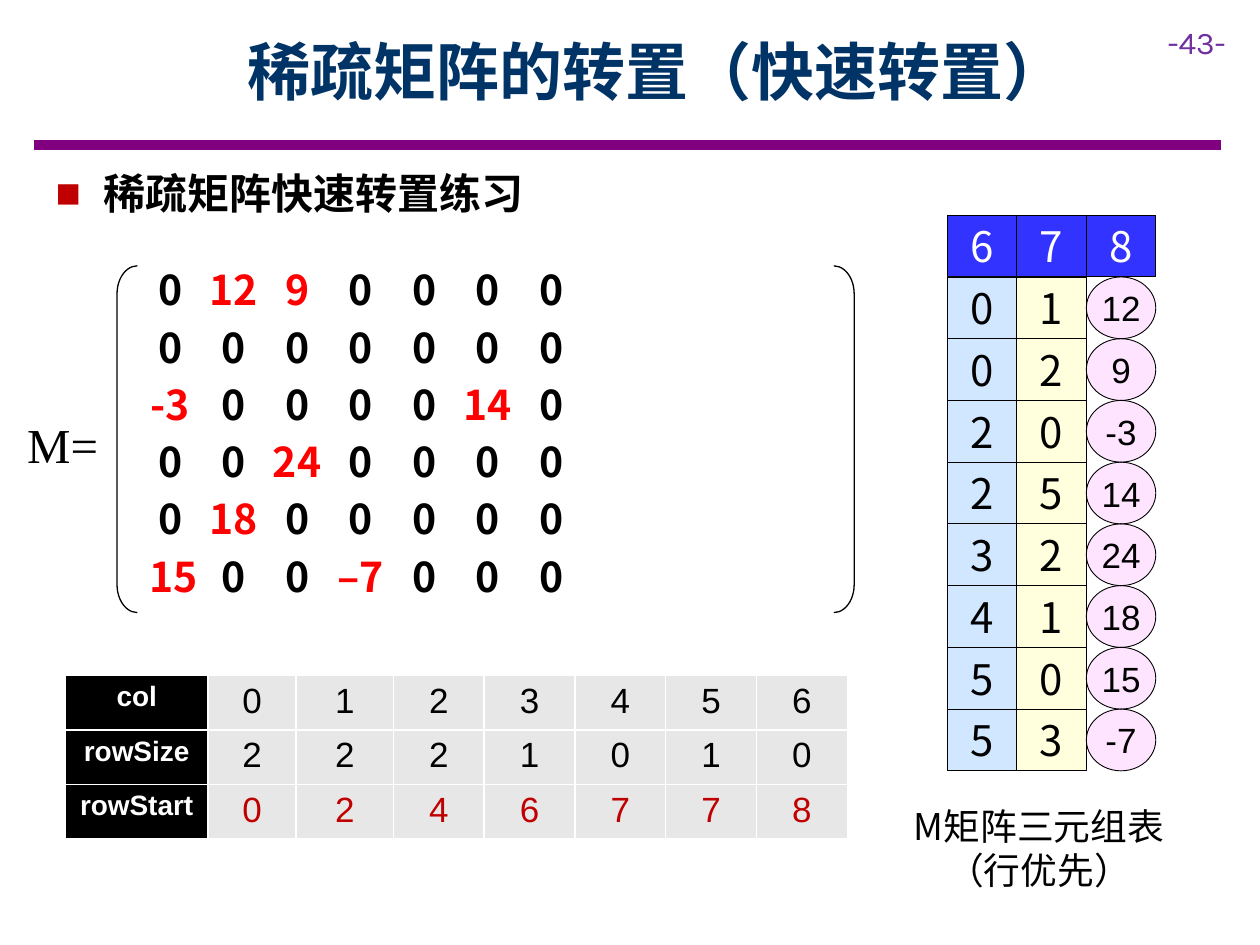
from itertools import accumulate

from lxml.etree import SubElement
from pptx import Presentation
from pptx.dml.color import RGBColor
from pptx.enum.shapes import MSO_CONNECTOR, MSO_SHAPE as SHAPE
from pptx.enum.text import MSO_ANCHOR as ANCHOR, PP_ALIGN as ALIGN
from pptx.oxml.ns import qn
from pptx.util import Cm, Pt

BLACK = RGBColor(0x00, 0x00, 0x00)
WHITE = RGBColor(0xFF, 0xFF, 0xFF)
NAVY = RGBColor(0x00, 0x33, 0x66)
PURPLE = RGBColor(0x80, 0x00, 0x80)
VIOLET = RGBColor(0x70, 0x30, 0xA0)
RED = RGBColor(0xFF, 0x00, 0x00)
DARK_RED = RGBColor(0xC0, 0x00, 0x00)
GREY = RGBColor(0xE7, 0xE7, 0xE7)
BLUE = RGBColor(0x33, 0x33, 0xFF)
SKY = RGBColor(0x99, 0xCC, 0xFF)
YELLOW = RGBColor(0xFF, 0xFF, 0x00)
PINK = RGBColor(0xFF, 0x99, 0xFF)

CJK, SANS, SERIF = "Noto Sans CJK SC", "Arial", "Times New Roman"

MATRIX = [row.split() for row in (
    "0 12 9 0 0 0 0",
    "0 0 0 0 0 0 0",
    "-3 0 0 0 0 14 0",
    "0 0 24 0 0 0 0",
    "0 18 0 0 0 0 0",
    "15 0 0 –7 0 0 0",
)]


def add_run(p, text, font, size, color, bold=False):
    """Append a formatted run to a paragraph."""
    r = p.add_run()
    r.text = text
    for name, value in {"name": font, "size": Pt(size), "bold": bold}.items():
        setattr(r.font, name, value)
    r.font.color.rgb = color
    SubElement(r.font._element, qn("a:ea"), typeface=font)


def set_frame(tf, anchor=ANCHOR.TOP, inset=(0, 0)):
    """Set wrapping, anchor and the side and top insets of a text frame."""
    side, top = map(Cm, inset)
    values = {"word_wrap": True, "vertical_anchor": anchor,
              "margin_left": side, "margin_right": side,
              "margin_top": top, "margin_bottom": top}
    for name, value in values.items():
        setattr(tf, name, value)


def add_text(slide, box, text, font, size, color, inset=(0.25, 0.13), **para):
    """Add a text box with one paragraph per line of text."""
    tf = slide.shapes.add_textbox(*map(Cm, box)).text_frame
    set_frame(tf, inset=inset)
    for i, line in enumerate(text.split("\n")):
        p = tf.add_paragraph() if i else tf.paragraphs[0]
        for name, value in para.items():
            setattr(p, name, value)
        add_run(p, line, font, size, color)


def add_header(slide, x, y, w):
    """Place the title, the rule below it and the page number."""
    title = slide.shapes.title
    place = {"left": x + 2.21, "top": y + 0.56, "width": 20.68, "height": 1.73}
    for name, value in place.items():
        setattr(title, name, Cm(value))
    set_frame(title.text_frame, ANCHOR.MIDDLE, (0.23, 0.1))
    p = title.text_frame.paragraphs[0]
    p.alignment = ALIGN.CENTER
    add_run(p, "稀疏矩阵的转置（快速转置）", CJK, 36, NAVY, True)

    rule = slide.shapes.add_connector(
        MSO_CONNECTOR.STRAIGHT, Cm(x), Cm(y + 2.92), Cm(x + w), Cm(y + 2.92))
    rule.line.color.rgb, rule.line.width = PURPLE, Pt(6)
    SubElement(rule._element.spPr, qn("a:effectLst"))
    add_text(slide, (x + 22.6, y + 0.33, 2.11, 1.02), "-43-", "Karla", 18, VIOLET)


def add_bullet(slide, x, y, w, h):
    """Place the bulleted heading."""
    tf = slide.shapes.add_textbox(*map(Cm, (x, y, w, h))).text_frame
    set_frame(tf, inset=(0.23, 0.1))
    p = tf.paragraphs[0]
    p.line_spacing = 1.1
    pPr = p._p.get_or_add_pPr()
    pPr.set("marL", str(Cm(0.97)))
    pPr.set("indent", str(-Cm(0.97)))
    color = SubElement(pPr, qn("a:buClr"))
    SubElement(color, qn("a:srgbClr"), val=str(DARK_RED))
    SubElement(pPr, qn("a:buFont"), typeface=SANS)
    SubElement(pPr, qn("a:buChar"), char="■")
    add_run(p, "稀疏矩阵快速转置练习", CJK, 24, BLACK, True)


def add_matrix(slide, x, y, w, h):
    """Place the bracketed matrix, its columns centred on tab stops."""
    bracket_w = 0.41
    for kind, left in ((SHAPE.LEFT_BRACKET, x), (SHAPE.RIGHT_BRACKET, x + w - bracket_w)):
        s = slide.shapes.add_shape(kind, *map(Cm, (left, y, bracket_w, h)))
        s.adjustments[0] = 1.375
        s.shadow.inherit = False
        s.fill.background()
        s.line.color.rgb, s.line.width = BLACK, Pt(0.75)
    add_text(slide, (x - 2.06, y + 2.87, 2.06, 1.45), "M=", SERIF, 27.9, BLACK)

    tf = slide.shapes.add_textbox(*map(Cm, (x + 0.66, y - 0.18, 14, h))).text_frame
    set_frame(tf)
    for i, row in enumerate(MATRIX):
        p = tf.add_paragraph() if i else tf.paragraphs[0]
        p.line_spacing = Pt(32.7)
        tabs = SubElement(p._p.get_or_add_pPr(), qn("a:tabLst"))
        for j, value in enumerate(row):
            SubElement(tabs, qn("a:tab"), pos=str(Cm(0.41 + 1.28 * j)), algn="ctr")
            add_run(p, "\t" + value, CJK, 23.4, BLACK if value == "0" else RED, True)


def add_counts(slide, x, y):
    """Place the table of sizes and starts of the transposed rows."""
    sizes = [sum(v != "0" for v in col) for col in zip(*MATRIX)]
    starts = [0, *accumulate(sizes[:-1])]
    rows = (("col", range(len(sizes)), BLACK),
            ("rowSize", sizes, BLACK),
            ("rowStart", starts, DARK_RED))
    widths = [2.87, 1.78, 1.96] + [1.83] * 5
    row_h = 1.1
    frame = slide.shapes.add_table(
        len(rows), len(widths), *map(Cm, (x, y, sum(widths), row_h * len(rows))))
    table = frame.table
    table.first_row = table.horz_banding = False
    for column, width in zip(table.columns, widths):
        column.width = Cm(width)
    for i, (label, values, color) in enumerate(rows):
        table.rows[i].height = Cm(row_h)
        for j, value in enumerate((label, *values)):
            cell = table.cell(i, j)
            cell.fill.solid()
            cell.fill.fore_color.rgb = GREY if j else BLACK
            p = cell.text_frame.paragraphs[0]
            p.alignment = ALIGN.CENTER
            style = (20, color, False) if j else (16, WHITE, True)
            add_run(p, str(value), SANS, *style)


def add_cell(slide, kind, box, text, fill, alpha, font, size, color):
    """Add one outlined cell of the triple list."""
    s = slide.shapes.add_shape(kind, *map(Cm, box))
    s.shadow.inherit = False
    s.fill.solid()
    s.fill.fore_color.rgb = fill
    if alpha < 100:
        rgb = s._element.spPr.find(".//" + qn("a:srgbClr"))
        SubElement(rgb, qn("a:alpha"), val=str(alpha * 1000))
    s.line.color.rgb, s.line.width = BLACK, Pt(0.5)
    set_frame(s.text_frame, ANCHOR.MIDDLE)
    p = s.text_frame.paragraphs[0]
    p.alignment = ALIGN.CENTER
    add_run(p, text, font, size, color)


def add_triples(slide, x, y, w, h):
    """Place the triple list of the matrix with its caption."""
    triples = [(i, j, v.replace("–", "-")) for i, row in enumerate(MATRIX)
               for j, v in enumerate(row) if v != "0"]
    head = (len(MATRIX), len(MATRIX[0]), len(triples))
    head_style = (SHAPE.RECTANGLE, BLUE, 100, CJK, 24, WHITE)
    styles = ((SHAPE.RECTANGLE, SKY, 46, CJK, 24, BLACK),
              (SHAPE.RECTANGLE, YELLOW, 13, CJK, 24, BLACK),
              (SHAPE.OVAL, PINK, 26, SANS, 20, BLACK))
    cell_w, cell_h = w / len(head), h / (len(triples) + 1)
    for i, triple in enumerate([head, *triples]):
        for j, value in enumerate(triple):
            kind, *style = styles[j] if i else head_style
            box = (x + j * cell_w, y + i * cell_h, cell_w, cell_h)
            add_cell(slide, kind, box, str(value), *style)
    add_text(slide, (x - 0.86, y + h + 0.66, 5.41, 1.8), "M矩阵三元组表\n（行优先）",
             CJK, 21, BLACK, (0, 0), alignment=ALIGN.CENTER, line_spacing=Pt(25.2))


def main():
    """Build the slide and save it."""
    prs = Presentation()
    prs.slide_width, prs.slide_height = Cm(25.4), Cm(19.05)
    slide = prs.slides.add_slide(prs.slide_layouts[5])
    add_header(slide, 0.69, 0, 23.92)
    add_bullet(slide, 0.89, 3.18, 24.51, 1.37)
    add_matrix(slide, 2.36, 5.36, 14.86, 6.99)
    add_counts(slide, 1.32, 13.61)
    add_triples(slide, 19.1, 4.34, 4.2, 11.2)
    prs.save("out.pptx")


if __name__ == "__main__":
    main()
